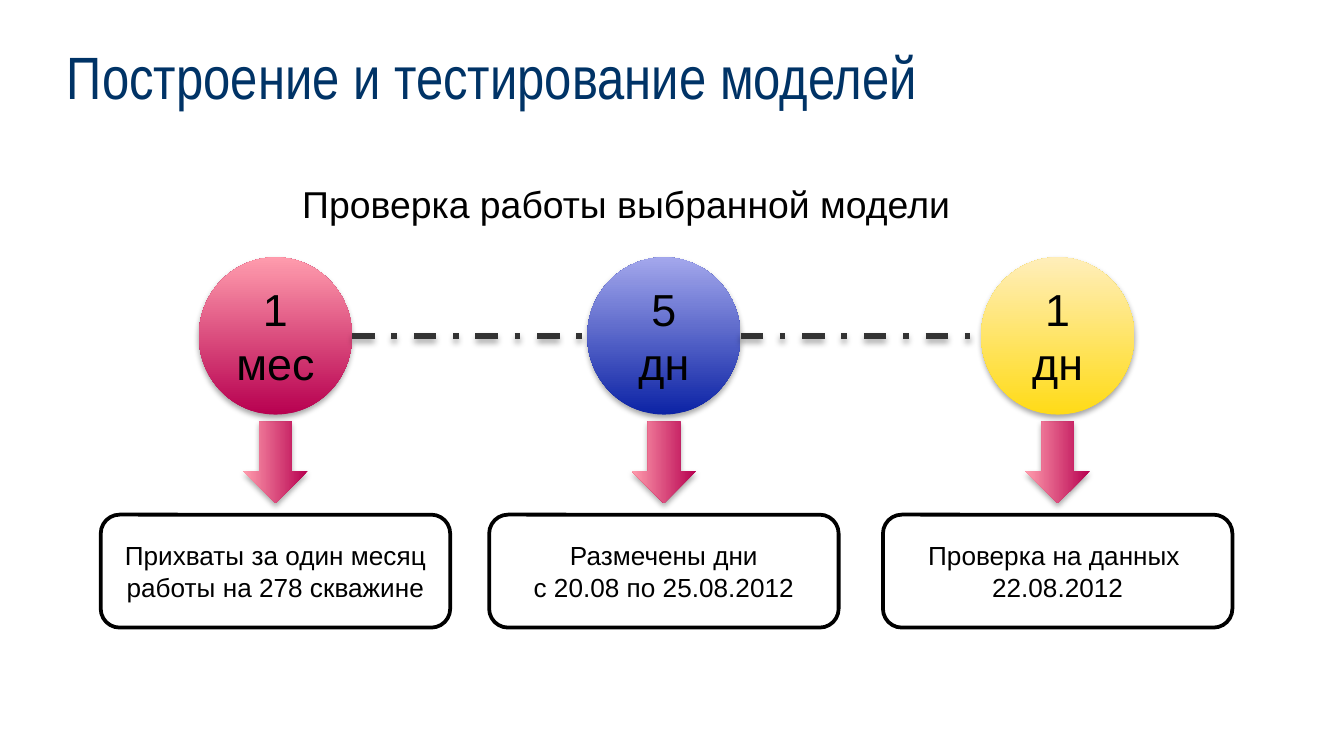
"""Build the slide on building and testing models."""
import pptx
import pptx.util
import pptx.dml.color
import pptx.enum.dml
import pptx.enum.shapes
import pptx.enum.text
import pptx.oxml

TITLE = "Построение и тестирование моделей"
HEAD = "Проверка работы выбранной модели"
STEPS = [
    {"mid": 2.05, "term": ["1", "мес"], "hue": "rose",
     "note": ["Прихваты за один месяц работы на 278 скважине"]},
    {"mid": 4.94, "term": ["5", "дн"], "hue": "blue",
     "note": ["Размечены дни", "с 20.08 по 25.08.2012"]},
    {"mid": 7.87, "term": ["1", "дн"], "hue": "gold",
     "note": ["Проверка на данных ", "22.08.2012"]},
]

THEME = {
    "rose": ("B70050", "FF9CAD"),
    "blue": ("0C23A5", "A3A7EC"),
    "gold": ("FFDB17", "FFEEBA"),
    "dash": "333333", "edge": "000000", "box": "FFFFFF",
    "title": {"size": 32, "name": "Arial Narrow", "color": "003366"},
    "head": {"size": 20, "name": "Arial", "color": "000000"},
    "term": {"size": 24, "name": "Arial", "color": "000000"},
    "note": {"size": 14, "name": "Arial", "color": "000000"},
}

DISC = (1.14, 1.17)
ARROW = (0.61, 0.48)
BOX = (2.6, 0.84)
DISC_Y, ARROW_Y, BOX_Y = 2.5, 3.44, 4.25

SHADE = (
    '<a:effectLst xmlns:a="http://schemas.openxmlformats.org/drawingml/2006/main">'
    '<a:outerShdw blurRad="40000" dist="23000" dir="5400000" rotWithShape="0">'
    '<a:srgbClr val="000000"><a:alpha val="35000"/></a:srgbClr>'
    '</a:outerShdw></a:effectLst>'
)

Inches = pptx.util.Inches
KIND = pptx.enum.shapes.MSO_SHAPE
ALIGN = pptx.enum.text.PP_ALIGN
ANCHOR = pptx.enum.text.MSO_ANCHOR


def tint(code):
    return pptx.dml.color.RGBColor.from_string(code)


def shade(shape):
    shape._element.spPr.append(pptx.oxml.parse_xml(SHADE))


def write(shape, lines, style, align=ALIGN.CENTER, **frame):
    text = shape.text_frame
    for key, value in frame.items():
        setattr(text, key, value)
    text.text = "\n".join(lines)
    look = THEME[style]
    form = {"size": pptx.util.Pt(look["size"]), "name": look["name"]}
    for para in text.paragraphs:
        para.alignment = align
        for run in para.runs:
            for key, value in form.items():
                setattr(run.font, key, value)
            run.font.color.rgb = tint(look["color"])


def place(slide, kind, mid, y, size):
    wide, high = size
    spot = (mid - wide / 2, y - high / 2, wide, high)
    return slide.shapes.add_shape(kind, *map(Inches, spot))


def blend(shape, hue):
    shape.fill.gradient()
    shape.fill.gradient_angle = 90
    for stop, code in zip(shape.fill.gradient_stops, THEME[hue]):
        stop.color.rgb = tint(code)
    shape.line.fill.background()
    shade(shape)


def label(slide, spot, line, style, wrap):
    box = slide.shapes.add_textbox(*map(Inches, spot))
    write(box, [line], style, ALIGN.LEFT, word_wrap=wrap)


def step(slide, mid, term, hue, note):
    arrow = place(slide, KIND.LEFT_ARROW, mid, ARROW_Y, ARROW)
    arrow.rotation = 270
    blend(arrow, "rose")
    disc = place(slide, KIND.FLOWCHART_CONNECTOR, mid, DISC_Y, DISC)
    blend(disc, hue)
    write(disc, term, "term", vertical_anchor=ANCHOR.MIDDLE, word_wrap=True,
          margin_left=0, margin_right=0)
    box = place(slide, KIND.ROUNDED_RECTANGLE, mid, BOX_Y, BOX)
    box.shadow.inherit = False
    box.fill.solid()
    box.fill.fore_color.rgb = tint(THEME["box"])
    box.line.color.rgb = tint(THEME["edge"])
    box.line.width = pptx.util.Pt(2)
    write(box, note, "note", vertical_anchor=ANCHOR.MIDDLE, word_wrap=True)


def link(slide, left, right):
    half = DISC[0] / 2
    ends = (left + half, DISC_Y, right - half, DISC_Y)
    line = slide.shapes.add_connector(
        pptx.enum.shapes.MSO_CONNECTOR.STRAIGHT, *map(Inches, ends))
    line.line.color.rgb = tint(THEME["dash"])
    form = {"width": pptx.util.Pt(3),
            "dash_style": pptx.enum.dml.MSO_LINE.DASH_DOT}
    for key, value in form.items():
        setattr(line.line, key, value)
    shade(line)


def main():
    deck = pptx.Presentation()
    deck.slide_width = Inches(10)
    deck.slide_height = Inches(10 * 9 / 16)
    slide = deck.slides.add_slide(deck.slide_layouts[6])
    label(slide, (0.4, 0.25, 9.2, 0.94), TITLE, "title", True)
    label(slide, (2.15, 1.3, 5.08, 0.44), HEAD, "head", False)
    for item in STEPS:
        step(slide, **item)
    for left, right in zip(STEPS, STEPS[1:]):
        link(slide, left["mid"], right["mid"])
    deck.save("out.pptx")


if __name__ == "__main__":
    main()
